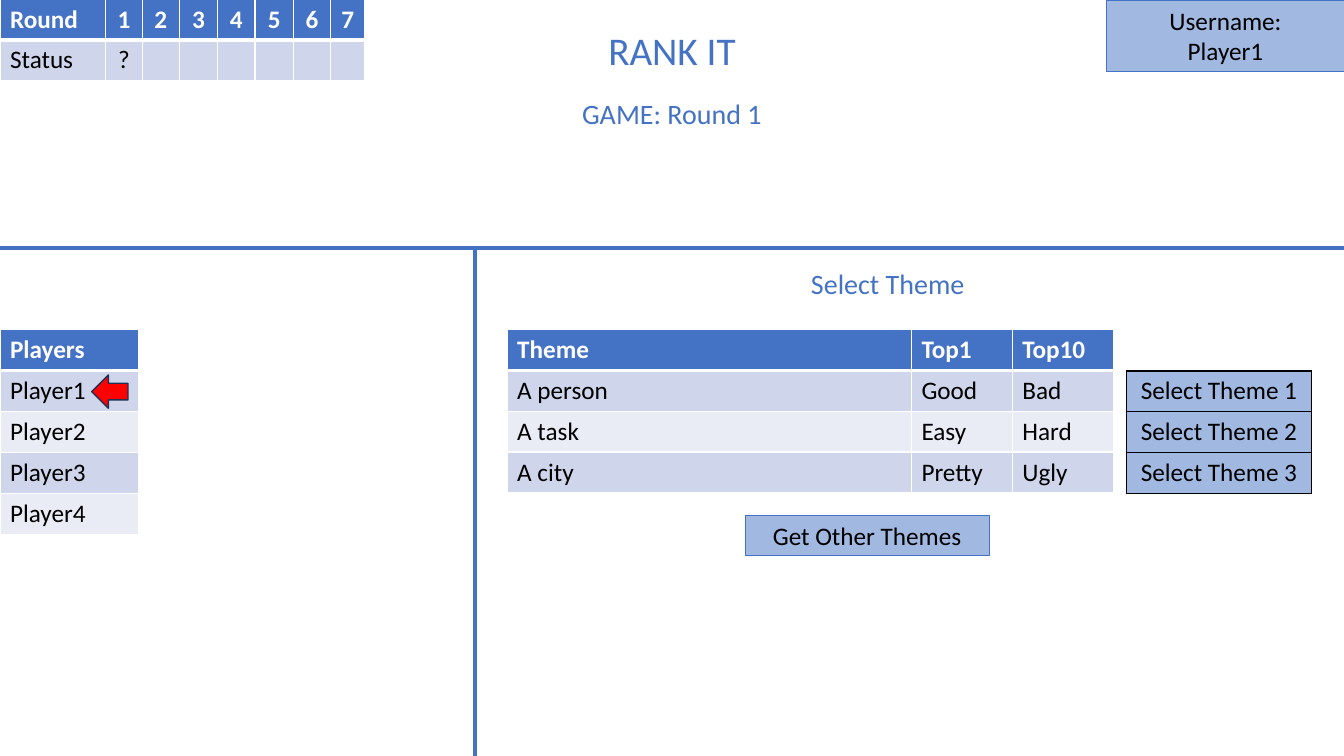
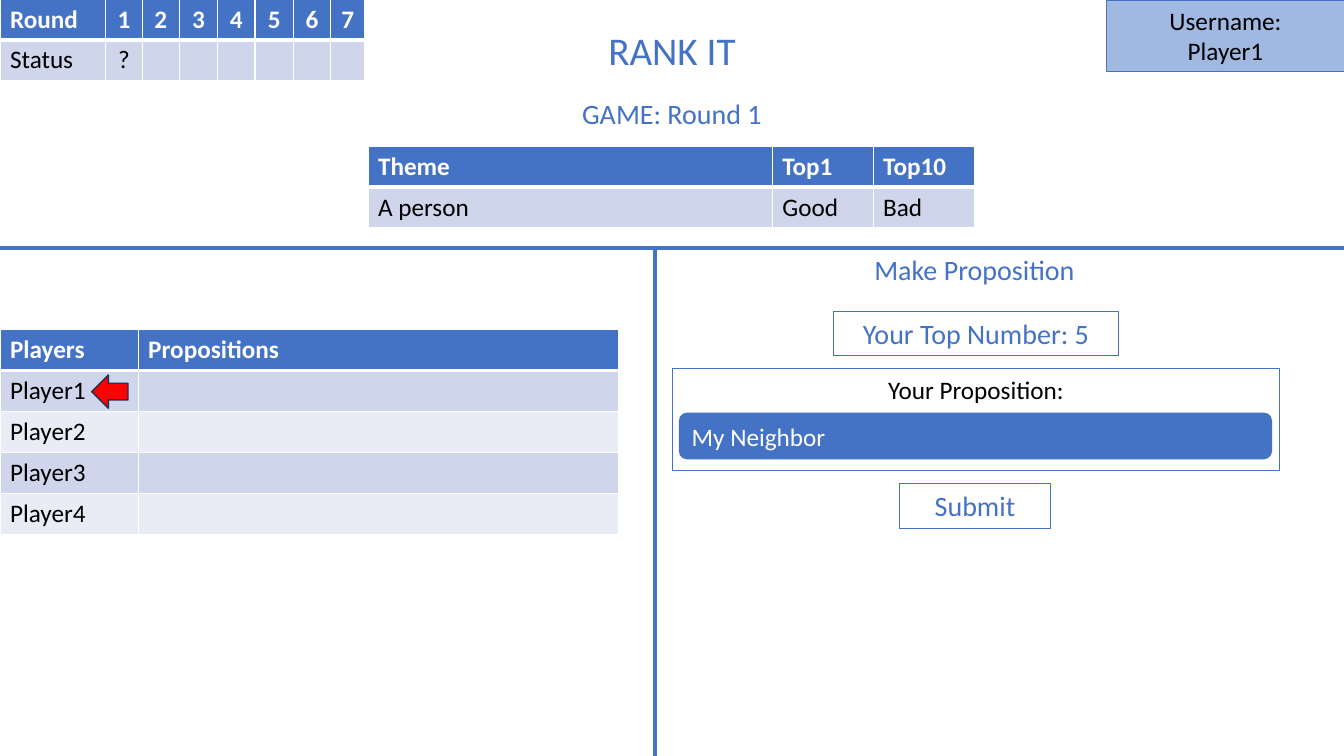
from dataclasses import dataclass

from lxml import etree
from pptx import Presentation
from pptx import util as u
from pptx.dml.color import RGBColor
from pptx.enum import shapes, text
from pptx.oxml import ns

PX = 9144  # EMU per px, 100 px to the inch
WIDTH, HEIGHT = 1333, 750
SPLIT_Y = 246
FONT = "Calibri"
COLORS = {
    "accent": "4472C4",
    "band_dark": "CFD5EA",
    "band_light": "E9EBF5",
    "black": "000000",
    "white": "FFFFFF",
    "marker": "FF0000",
    "marker_edge": "1E3256",
}
PLAYERS = ("Player1", "Player2", "Player3", "Player4")
THEME_HEADER = ("Theme", "Top1", "Top10")
THEMES = (
    ("A person", "Good", "Bad"),
    ("A task", "Easy", "Hard"),
    ("A city", "Pretty", "Ugly"),
)
THEME_COLUMNS = (401, 100, 101)


@dataclass(frozen=True)
class Box:
    left: int
    top: int
    width: int
    height: int

    def emu(self) -> tuple[int, ...]:
        return tuple(v * PX for v in (self.left, self.top, self.width, self.height))


@dataclass(frozen=True)
class Panel:
    """Text in a rectangle; without an outline it is a plain text box."""

    box: Box
    lines: tuple[str, ...]
    size: int = 18
    color: str = "black"
    fill: str | None = None
    alpha: int = 100
    outline: float = 0
    rounded: bool = False


@dataclass(frozen=True)
class Grid:
    left: int
    top: int
    height: int
    columns: tuple[int, ...]
    rows: tuple[tuple[str, ...], ...]
    has_header: bool = True
    centred_from: int = 99
    border: str = "white"


def rgb(name: str) -> RGBColor:
    return RGBColor.from_string(COLORS[name])


def paint(fill, name: str, alpha: int = 100) -> None:
    fill.solid()
    fill.fore_color.rgb = rgb(name)
    if alpha < 100:
        solid = fill._xPr.find(ns.qn("a:solidFill"))
        etree.SubElement(solid[0], ns.qn("a:alpha"), val=str(alpha * 1000))


def style_paragraph(para, size: int, color: str, bold: bool, centred: bool) -> None:
    para.font.name = FONT
    para.font.size = u.Pt(size)
    para.font.bold = bold
    para.font.color.rgb = rgb(color)
    para.alignment = text.PP_ALIGN.CENTER if centred else text.PP_ALIGN.LEFT


def draw_panel(page, panel: Panel) -> None:
    if panel.outline:
        kind = shapes.MSO_SHAPE.ROUNDED_RECTANGLE if panel.rounded else shapes.MSO_SHAPE.RECTANGLE
        shape = page.shapes.add_shape(kind, *panel.box.emu())
        shape.shadow.inherit = False
        shape.line.color.rgb = rgb("accent")
        shape.line.width = u.Pt(panel.outline)
    else:
        shape = page.shapes.add_textbox(*panel.box.emu())
    if panel.fill:
        paint(shape.fill, panel.fill, panel.alpha)
    else:
        shape.fill.background()
    frame = shape.text_frame
    frame.word_wrap = True
    frame.vertical_anchor = text.MSO_ANCHOR.MIDDLE if panel.rounded else text.MSO_ANCHOR.TOP
    if not panel.rounded:
        frame.auto_size = text.MSO_AUTO_SIZE.SHAPE_TO_FIT_TEXT
    frame.text = "\n".join(panel.lines)
    for para in frame.paragraphs:
        style_paragraph(para, panel.size, panel.color, False, not panel.rounded)


def set_border(cell, side: str, color: str, points: int) -> None:
    properties = cell._tc.get_or_add_tcPr()
    line = etree.SubElement(properties, ns.qn(f"a:ln{side}"), w=str(u.Pt(points)))
    solid = etree.SubElement(line, ns.qn("a:solidFill"))
    etree.SubElement(solid, ns.qn("a:srgbClr"), val=COLORS[color])


def draw_grid(page, grid: Grid) -> None:
    box = Box(grid.left, grid.top, sum(grid.columns), grid.height)
    table = page.shapes.add_table(len(grid.rows), len(grid.columns), *box.emu()).table
    table.first_row = grid.has_header
    table.horz_banding = False
    for column, width in zip(table.columns, grid.columns):
        column.width = width * PX
    for r, values in enumerate(grid.rows):
        is_header = grid.has_header and r == 0
        thick_side = {0: "B", 1: "T"}.get(r) if grid.has_header else None
        for c, value in enumerate(values):
            cell = table.cell(r, c)
            for side in "LRTB":
                set_border(cell, side, grid.border, 3 if side == thick_side else 1)
            if not grid.has_header:
                paint(cell.fill, "accent", 50)
            elif is_header:
                paint(cell.fill, "accent")
            else:
                paint(cell.fill, "band_dark" if r % 2 else "band_light")
            cell.text = value
            style_paragraph(cell.text_frame.paragraphs[0], 18,
                            "white" if is_header else "black",
                            is_header, c >= grid.centred_from)


def draw_rule(page, x1: int, y1: int, x2: int, y2: int) -> None:
    rule = page.shapes.add_connector(
        shapes.MSO_CONNECTOR.STRAIGHT, *(v * PX for v in (x1, y1, x2, y2)))
    rule.line.color.rgb = rgb("accent")
    rule.line.width = u.Pt(3)
    etree.SubElement(rule._element.spPr, ns.qn("a:effectLst"))


def draw_turn_marker(page) -> None:
    arrow = page.shapes.add_shape(shapes.MSO_SHAPE.LEFT_ARROW, *Box(91, 372, 36, 33).emu())
    arrow.shadow.inherit = False
    paint(arrow.fill, "marker")
    arrow.line.color.rgb = rgb("marker_edge")
    arrow.line.width = u.Pt(1)


def heading(box: Box, words: str, size: int = 20, outline: float = 0) -> Panel:
    return Panel(box, (words,), size, "accent", outline=outline)


def button(box: Box, *lines: str) -> Panel:
    return Panel(box, lines, fill="accent", alpha=50, outline=0.75)


def theme_grid(left: int, top: int, height: int, count: int) -> Grid:
    return Grid(left, top, height, THEME_COLUMNS, (THEME_HEADER, *THEMES[:count]))


def add_game_page(deck, split_x: int, player_columns: tuple[int, ...],
                  player_header: tuple[str, ...], panels: tuple[Panel, ...],
                  grids: tuple[Grid, ...]) -> None:
    """Add a page with the common game frame and its own panels and grids."""
    page = deck.slides.add_slide(deck.slide_layouts[6])
    frame_panels = (
        button(Box(1097, 0, 237, 71), "Username:", "Player1"),
        heading(Box(525, 21, 283, 57), "RANK IT", 28),
        heading(Box(525, 91, 283, 44), "GAME: Round 1"),
    )
    blanks = ("",) * (len(player_header) - 1)
    frame_grids = (
        Grid(0, -1, 81, (105, 36, 37, 38, 37, 38, 37, 34),
             (("Round", *"1234567"), ("Status", "?", *[""] * 6)), centred_from=1),
        Grid(0, 327, 203, player_columns,
             (player_header, *((player, *blanks) for player in PLAYERS))),
    )
    for panel in frame_panels + panels:
        draw_panel(page, panel)
    draw_rule(page, 0, SPLIT_Y, WIDTH, SPLIT_Y)
    draw_rule(page, split_x, SPLIT_Y, split_x, HEIGHT)
    for grid in frame_grids + grids:
        draw_grid(page, grid)
    draw_turn_marker(page)


def main() -> None:
    deck = Presentation()
    deck.slide_width, deck.slide_height = WIDTH * PX, HEIGHT * PX
    add_game_page(
        deck, 471, (137,), ("Players",),
        panels=(
            heading(Box(739, 259, 283, 44), "Select Theme"),
            button(Box(739, 511, 242, 40), "Get Other Themes"),
        ),
        grids=(
            theme_grid(503, 327, 162, 3),
            Grid(1117, 368, 122, (184,),
                 tuple((f"Select Theme {n}",) for n in range(1, len(THEMES) + 1)),
                 has_header=False, centred_from=0, border="black"),
        ),
    )
    add_game_page(
        deck, 650, (137, 477), ("Players", "Propositions"),
        panels=(
            heading(Box(825, 246, 283, 44), "Make Proposition"),
            heading(Box(827, 309, 282, 44), "Your Top Number: 5", outline=0.75),
            heading(Box(892, 480, 150, 44), "Submit", outline=0.75),
            Panel(Box(667, 366, 602, 101), ("Your Proposition:",), outline=0.75),
            Panel(Box(674, 410, 587, 45), ("My Neighbor",), color="white",
                  fill="accent", outline=1, rounded=True),
        ),
        grids=(theme_grid(365, 145, 81, 1),),
    )
    deck.save("out.pptx")


if __name__ == "__main__":
    main()
